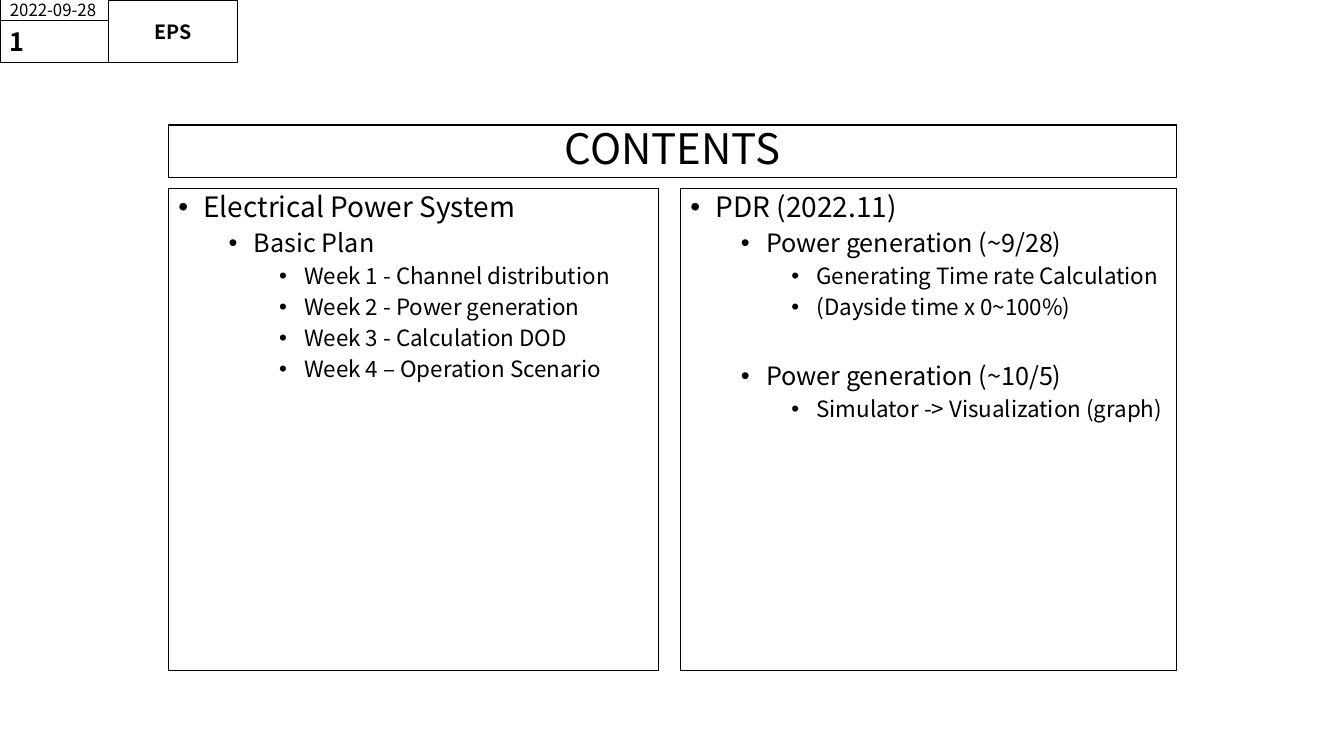
import dataclasses

import pptx
import pptx.dml.color
import pptx.enum.shapes
import pptx.enum.text
import pptx.util
from lxml import etree


@dataclasses.dataclass
class Theme:
    font: str = "Noto Sans CJK KR"
    ink: str = "000000"
    border: float = 0.75
    title: int = 30
    date: int = 12
    number: int = 18
    section: int = 14
    levels: tuple = (20, 18, 16)
    line_spacing: float = 0.9
    bullet_gap: int = 5
    group_gap: int = 31


class Slide:
    width, height = 13.33, 7.5

    def __init__(self, deck, theme):
        self.theme = theme
        self.page = deck.slides.add_slide(deck.slide_layouts[6])

    def color(self):
        return pptx.dml.color.RGBColor.from_string(self.theme.ink)

    def style(self, paragraph, size, bold=False):
        for span in paragraph.runs:
            span.font.name = self.theme.font
            span.font.size = pptx.util.Pt(size)
            span.font.bold = bold
            span.font.color.rgb = self.color()

    def frame(self, left, top, width, height, insets=(0.1, 0.05)):
        shares = (left * self.width, top * self.height, width * self.width, height * self.height)
        box = self.page.shapes.add_shape(
            pptx.enum.shapes.MSO_SHAPE.RECTANGLE, *map(pptx.util.Inches, shares))
        box.shadow.inherit = False
        box.fill.background()
        box.line.color.rgb = self.color()
        box.line.width = pptx.util.Pt(self.theme.border)
        text = box.text_frame
        text.word_wrap = True
        text.margin_left = text.margin_right = pptx.util.Inches(insets[0])
        text.margin_top = text.margin_bottom = pptx.util.Inches(insets[1])
        return text

    def label(self, area, words, size, bold=False, centered=False, insets=(0.1, 0.05), spacing=1.0):
        text = self.frame(*area, insets=insets)
        text.vertical_anchor = pptx.enum.text.MSO_ANCHOR.MIDDLE
        text.text = words
        paragraph = text.paragraphs[0]
        align = pptx.enum.text.PP_ALIGN
        paragraph.alignment = align.CENTER if centered else align.LEFT
        paragraph.line_spacing = spacing
        self.style(paragraph, size, bold)

    def outline(self, area, items):
        text = self.frame(*area)
        text.vertical_anchor = pptx.enum.text.MSO_ANCHOR.TOP
        text.text = "\n".join(words for level, words in items)
        previous = None
        for paragraph, (level, words) in zip(text.paragraphs, items):
            paragraph.level = level
            paragraph.alignment = pptx.enum.text.PP_ALIGN.LEFT
            paragraph.line_spacing = self.theme.line_spacing
            if previous is not None:
                gap = self.theme.group_gap if level < previous else self.theme.bullet_gap
                paragraph.space_before = pptx.util.Pt(gap)
            properties = paragraph._p.get_or_add_pPr()
            properties.set("marL", str(pptx.util.Inches(0.25 + 0.5 * level)))
            properties.set("indent", str(pptx.util.Inches(-0.25)))
            namespace = pptx.oxml.ns.qn("a:buFont"), pptx.oxml.ns.qn("a:buChar")
            etree.SubElement(properties, namespace[0]).set("typeface", "Arial")
            etree.SubElement(properties, namespace[1]).set("char", "•")
            self.style(paragraph, self.theme.levels[level])
            previous = level


def main():
    theme = Theme()
    deck = pptx.Presentation()
    deck.slide_width = pptx.util.Inches(Slide.width)
    deck.slide_height = pptx.util.Inches(Slide.height)
    slide = Slide(deck, theme)

    def share(left, top, width, height):
        return left / Slide.width, top / Slide.height, width / Slide.width, height / Slide.height

    slide.label(share(1.67, 1.24, 10, 0.52), "CONTENTS", theme.title,
                centered=True, insets=(0.1, 0), spacing=theme.line_spacing)
    slide.label(share(0, 0, 1.08, 0.2), "2022-09-28", theme.date)
    slide.label(share(1.08, 0, 1.28, 0.62), "EPS", theme.section,
                bold=True, centered=True, insets=(0, 0))
    slide.label(share(0, 0.2, 1.08, 0.42), "1", theme.number, bold=True)
    slide.outline(share(6.75, 1.87, 4.92, 4.78), [
        (0, "PDR (2022.11)"),
        (1, "Power generation (~9/28)"),
        (2, "Generating Time rate Calculation"),
        (2, "(Dayside time x 0~100%)"),
        (1, "Power generation (~10/5)"),
        (2, "Simulator -> Visualization (graph)"),
    ])
    slide.outline(share(1.67, 1.87, 4.86, 4.78), [
        (0, "Electrical Power System"),
        (1, "Basic Plan"),
        (2, "Week 1 - Channel distribution"),
        (2, "Week 2 - Power generation"),
        (2, "Week 3 - Calculation DOD"),
        (2, "Week 4 – Operation Scenario"),
    ])
    deck.save("out.pptx")


if __name__ == "__main__":
    main()
